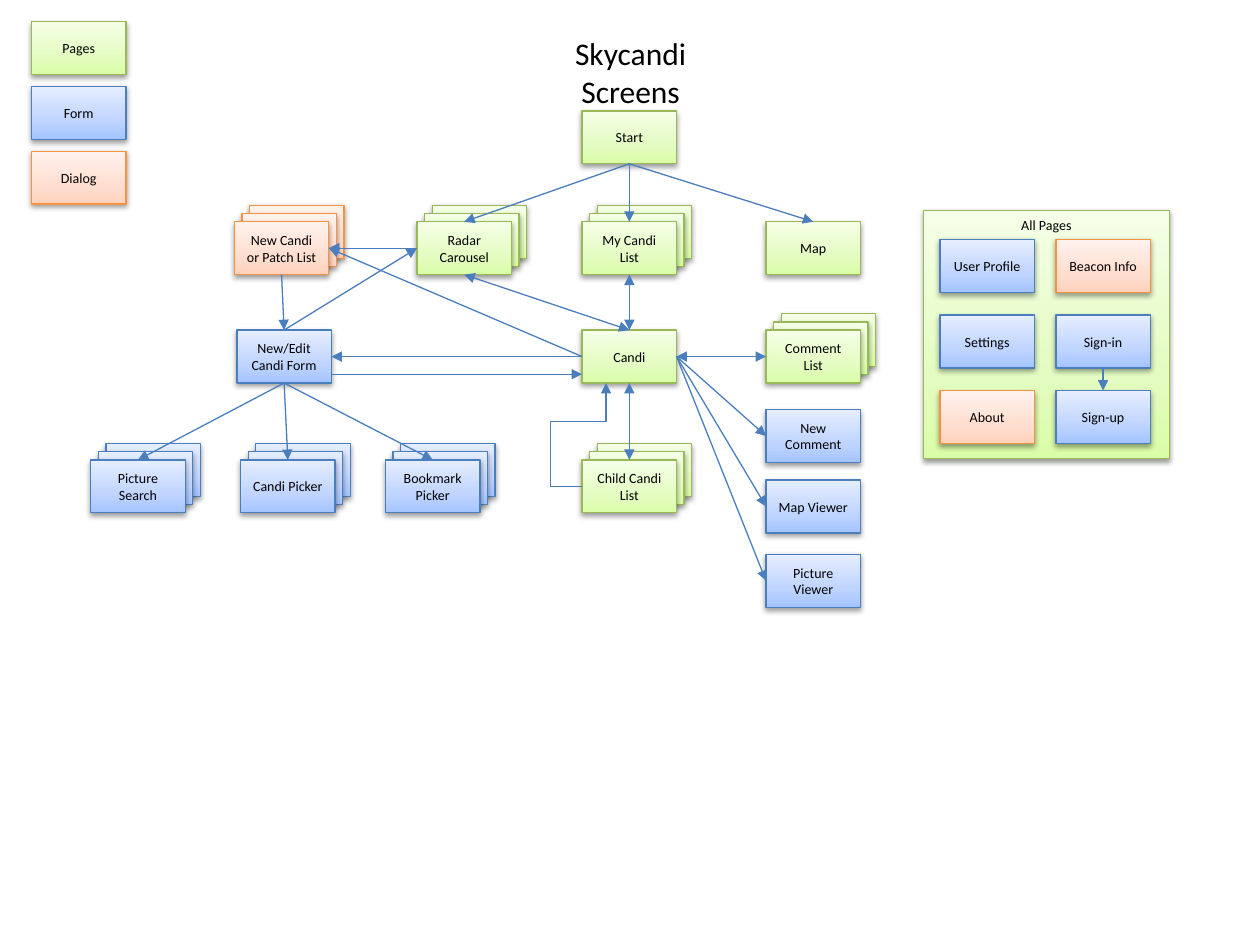
from dataclasses import dataclass
from lxml import etree
from pptx import Presentation
from pptx.dml.color import RGBColor
from pptx.enum.shapes import MSO_CONNECTOR as CONN, MSO_SHAPE as SHAPE
from pptx.enum.text import MSO_ANCHOR as ANCHOR, MSO_AUTO_SIZE as FIT, PP_ALIGN as ALIGN
from pptx.oxml import parse_xml
from pptx.oxml.ns import nsdecls, qn
from pptx.util import Inches, Pt


@dataclass(frozen=True)
class Theme:
    font: str = "Calibri"
    title: int = 18
    label: int = 8
    text: str = "000000"
    arrow: str = "4B7EBC"
    line: float = 0.75
    # line colour, then gradient stops at 0, 35 and 100 %
    page: tuple = ("98B955", "DAFDA7", "E4FCC2", "F5FFE7")
    form: tuple = ("4B7EBC", "A4C4FF", "BFD4FF", "E6EEFF")
    dialog: tuple = ("F69240", "FFD2BD", "FFDED0", "FFF2ED")


T = Theme()
CARD_W, CARD_H = 0.75, 0.42
STACK_DX, STACK_DY = 0.06, 0.065
TOP, LEFT, BOTTOM, RIGHT = range(4)  # connection sites of a rectangle


def set_all(obj, **values):
    for name, value in values.items():
        setattr(obj, name, value)


def write(sp, text, size, **frame):
    tf = sp.text_frame
    set_all(tf, **frame)
    p = tf.paragraphs[0]
    p.alignment = ALIGN.CENTER
    r = p.add_run()
    r.text = text
    set_all(r.font, name=T.font, size=Pt(size))
    r.font.color.rgb = RGBColor.from_string(T.text)


def panel(shapes, style, x, y, w=CARD_W, h=CARD_H, text="", anchor=ANCHOR.MIDDLE):
    """A rectangle with a gradient, a thin line and a soft shadow."""
    sp = shapes.add_shape(SHAPE.RECTANGLE, *map(Inches, (x, y, w, h)))
    sp.line.color.rgb = RGBColor.from_string(style[0])
    sp.line.width = Pt(T.line)
    stops = "".join(f'<a:gs pos="{pos}000"><a:srgbClr val="{c}"/></a:gs>'
                    for pos, c in zip((0, 35, 100), style[1:]))
    pr = sp.element.spPr
    pr.insert(2, parse_xml(
        f'<a:gradFill {nsdecls("a")} rotWithShape="1"><a:gsLst>{stops}</a:gsLst>'
        '<a:lin ang="16200000" scaled="0"/></a:gradFill>'))
    pr.append(parse_xml(
        f'<a:effectLst {nsdecls("a")}><a:outerShdw blurRad="40000" dist="20000" '
        'dir="5400000" rotWithShape="0"><a:srgbClr val="000000">'
        '<a:alpha val="38000"/></a:srgbClr></a:outerShdw></a:effectLst>'))
    if text:
        write(sp, text, T.label, word_wrap=True, vertical_anchor=anchor,
              margin_left=Inches(0.09), margin_right=Inches(0.09))
    return sp


def stack(shapes, style, x, y, text):
    """Three overlapping cards; the front one carries the label."""
    grp = shapes.add_group_shape().shapes
    for i in (2, 1):
        panel(grp, style, x + i * STACK_DX, y - i * STACK_DY)
    return panel(grp, style, x, y, text=text)


def arrow(shapes, start=(0, 0), end=(0, 0), both=False, kind=CONN.STRAIGHT):
    c = shapes.add_connector(kind, *map(Inches, (*start, *end)))
    c.line.color.rgb = RGBColor.from_string(T.arrow)
    c.line.width = Pt(T.line)
    ln = c.line._get_or_add_ln()
    for tag in ("a:headEnd", "a:tailEnd")[0 if both else 1:]:
        etree.SubElement(ln, qn(tag), type="triangle")
    etree.SubElement(c._element.spPr, qn("a:effectLst"))
    return c


def join(shapes, a, a_site, b, b_site, both=False):
    c = arrow(shapes, both=both)
    c.begin_connect(a, a_site)
    c.end_connect(b, b_site)


def title(slide, x, y, w, h):
    sp = slide.shapes.title
    set_all(sp, left=Inches(x), top=Inches(y), width=Inches(w), height=Inches(h))
    write(sp, "Skycandi Screens", T.title, word_wrap=False,
          auto_size=FIT.SHAPE_TO_FIT_TEXT, vertical_anchor=ANCHOR.TOP)


def legend(shapes, x, y, pitch):
    entries = (("Pages", T.page), ("Form", T.form), ("Dialog", T.dialog))
    for i, (text, style) in enumerate(entries):
        panel(shapes, style, x, y + i * pitch, text=text)


def flow(shapes, x, y):
    row = (0, 0.88, 1.74, 2.77)
    mid, right = 3.9, 5.36
    # label, style, column, row, stacked
    screens = (
        ("New Candi or Patch List", T.dialog, 1.14, row[1], True),
        ("Radar Carousel", T.page, 2.59, row[1], True),
        ("Start", T.page, mid, row[0], False),
        ("My Candi List", T.page, mid, row[1], True),
        ("Map", T.page, right, row[1], False),
        ("New/Edit Candi Form", T.form, 1.16, row[2], False),
        ("Candi", T.page, mid, row[2], False),
        ("Comment List", T.page, right, row[2], True),
        ("New Comment", T.form, right, 2.37, False),
        ("Map Viewer", T.form, right, 2.93, False),
        ("Picture Viewer", T.form, right, 3.52, False),
        ("Picture Search", T.form, 0, row[3], True),
        ("Candi Picker", T.form, 1.19, row[3], True),
        ("Bookmark Picker", T.form, 2.34, row[3], True),
        ("Child Candi List", T.page, mid, row[3], True),
    )
    box = {}
    for text, style, dx, dy, stacked in screens:
        draw = stack if stacked else panel
        box[text] = draw(shapes, style, x + dx, y + dy, text=text)

    # from, site, to, site, arrowheads at both ends
    form, new = "New/Edit Candi Form", "New Candi or Patch List"
    links = [
        ("Radar Carousel", LEFT, new, RIGHT, False),
        (new, BOTTOM, form, TOP, False),
        (form, TOP, "Radar Carousel", LEFT, False),
        ("Candi", LEFT, new, RIGHT, False),
        ("Candi", LEFT, form, RIGHT, False),
        ("Radar Carousel", BOTTOM, "Candi", TOP, True),
        ("My Candi List", BOTTOM, "Candi", TOP, True),
        ("Candi", BOTTOM, "Child Candi List", TOP, True),
        ("Candi", RIGHT, "Comment List", LEFT, True),
    ]
    links += [("Start", BOTTOM, n, TOP, False)
              for n in ("Radar Carousel", "My Candi List", "Map")]
    links += [(form, BOTTOM, n, TOP, False)
              for n in ("Picture Search", "Candi Picker", "Bookmark Picker")]
    links += [("Candi", RIGHT, n, LEFT, False)
              for n in ("New Comment", "Map Viewer", "Picture Viewer")]
    for a, a_site, b, b_site, both in links:
        join(shapes, box[a], a_site, box[b], b_site, both)

    # Return from the form to Candi
    back = y + row[2] + 0.35
    arrow(shapes, (x + 1.16 + CARD_W, back), (x + mid, back))

    # Loop from the child list back to Candi
    loop = arrow(shapes, (x + mid, y + row[3] + CARD_H / 2),
                 (x + mid + 0.19, y + row[2] + CARD_H), kind=CONN.ELBOW)
    xfrm = loop._element.spPr.find(qn("a:xfrm"))
    xfrm.attrib.pop("flipV", None)
    set_flip = {"rot": "10800000", "flipH": "1"}
    for name, value in set_flip.items():
        xfrm.set(name, value)
    geom = loop._element.spPr.find(qn("a:prstGeom"))
    geom.set("prst", "bentConnector4")
    guides = geom.find(qn("a:avLst"))
    if guides is None:
        guides = etree.SubElement(geom, qn("a:avLst"))
    for name, value in (("adj1", -132300), ("adj2", 62600)):
        etree.SubElement(guides, qn("a:gd"), name=name, fmla=f"val {value}")


def all_pages(shapes, x, y, w, h):
    grp = shapes.add_group_shape().shapes
    panel(grp, T.page, x, y, w, h, "All Pages", ANCHOR.TOP)
    rows = (
        (("User Profile", T.form), ("Beacon Info", T.dialog)),
        (("Settings", T.form), ("Sign-in", T.form)),
        (("About", T.dialog), ("Sign-up", T.form)),
    )
    box = {}
    for i, cells in enumerate(rows):
        for j, (text, style) in enumerate(cells):
            box[text] = panel(grp, style, x + 0.13 + j * 0.92, y + 0.23 + i * 0.6, text=text)
    join(grp, box["Sign-in"], BOTTOM, box["Sign-up"], TOP)


prs = Presentation()
prs.slide_width, prs.slide_height = Inches(10), Inches(7.5)
slide = prs.slides.add_slide(prs.slide_layouts[5])
title(slide, 4.06, 0.22, 1.89, 0.4)
legend(slide.shapes, 0.25, 0.17, 0.515)
flow(slide.shapes, 0.72, 0.88)
all_pages(slide.shapes, 7.33, 1.67, 1.95, 1.97)
prs.save("out.pptx")
